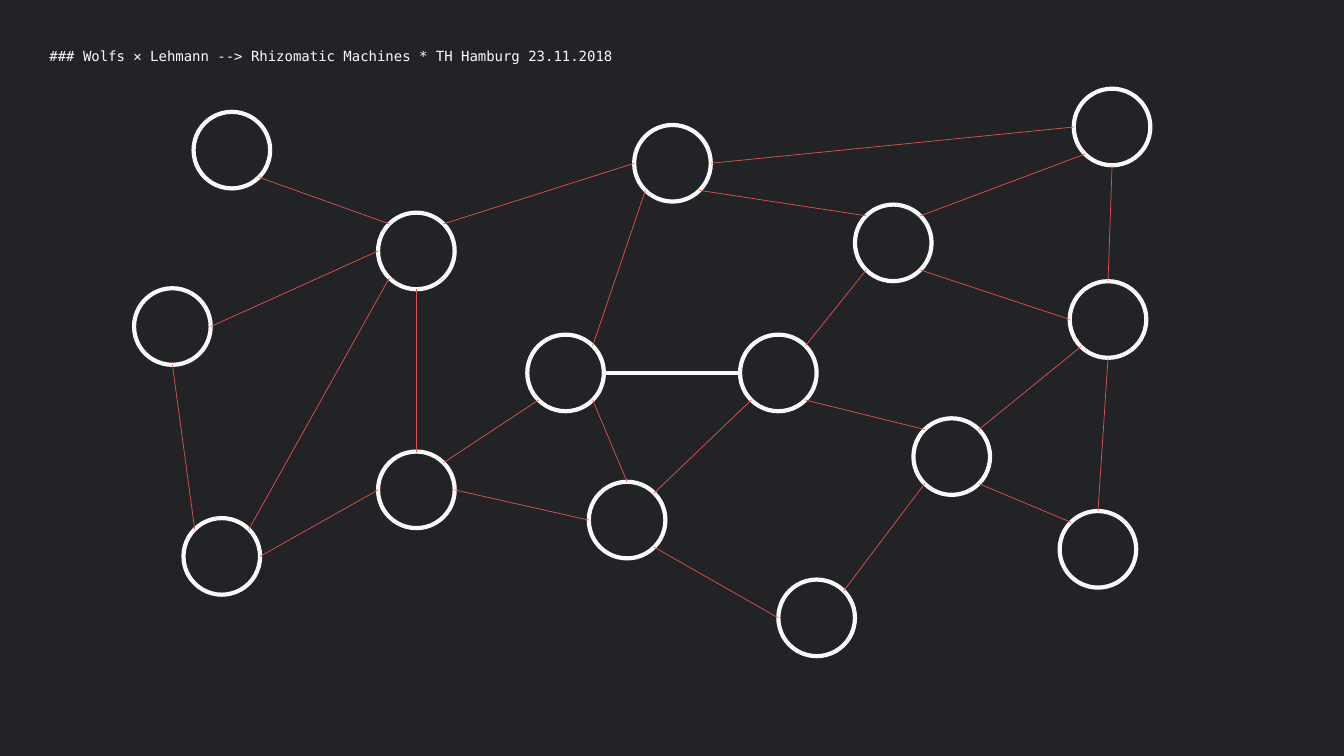
from math import sqrt

from lxml.etree import SubElement
from pptx import Presentation
from pptx.dml.color import RGBColor
from pptx.enum.shapes import MSO_CONNECTOR, MSO_SHAPE
from pptx.enum.text import MSO_ANCHOR, PP_ALIGN
from pptx.oxml.ns import qn
from pptx.util import Inches, Pt

COLORS = {"background": "222326", "light": "FAFAFA", "link": "E65050"}
TITLE = "### Wolfs ✕ Lehmann --> Rhizomatic Machines * TH Hamburg 23.11.2018"
TITLE_FORMAT = {"name": "DejaVu Sans Mono", "size": Pt(10), "bold": False}

DIAMETER = 0.76
# Left and top of each circle, in inches from the corner of the network
NODES = {
    "center_left": (5.23, 3.32), "center_right": (7.34, 3.32),
    "upper_right": (8.48, 2.03), "bottom": (7.72, 5.75),
    "upper_left": (3.75, 2.11), "top": (6.29, 1.24),
    "lower_left": (3.75, 4.48), "lower_middle": (5.84, 4.78),
    "lower_right": (9.06, 4.15), "bottom_left": (1.82, 5.14),
    "far_left": (1.33, 2.86), "top_left": (1.92, 1.11),
    "top_right": (10.65, 0.88), "far_right": (10.61, 2.79),
    "bottom_right": (10.51, 5.07),
}
DIAGONAL = 1 / sqrt(2)
# Direction from the middle of a circle to each point on its rim
RIM = {
    "N": (0, -1), "NE": (DIAGONAL, -DIAGONAL), "E": (1, 0), "SE": (DIAGONAL, DIAGONAL),
    "S": (0, 1), "SW": (-DIAGONAL, DIAGONAL), "W": (-1, 0), "NW": (-DIAGONAL, -DIAGONAL),
}
MAIN_LINK = ("center_left", "E", "center_right", "W")
LINKS = [
    ("center_left", "NE", "top", "SW"),
    ("top", "SE", "upper_right", "NW"),
    ("center_right", "NE", "upper_right", "SW"),
    ("upper_right", "SE", "far_right", "W"),
    ("lower_right", "NE", "far_right", "SW"),
    ("center_right", "SE", "lower_right", "NW"),
    ("lower_middle", "NE", "center_right", "SW"),
    ("center_left", "SE", "lower_middle", "N"),
    ("lower_left", "NE", "center_left", "SW"),
    ("upper_left", "S", "lower_left", "N"),
    ("upper_left", "NE", "top", "W"),
    ("top_left", "SE", "upper_left", "NW"),
    ("far_left", "E", "upper_left", "W"),
    ("bottom_left", "NE", "upper_left", "SW"),
    ("far_left", "S", "bottom_left", "NW"),
    ("bottom_left", "E", "lower_left", "W"),
    ("lower_left", "E", "lower_middle", "W"),
    ("lower_middle", "SE", "bottom", "W"),
    ("bottom", "NE", "lower_right", "SW"),
    ("lower_right", "SE", "bottom_right", "NW"),
    ("far_right", "S", "bottom_right", "N"),
    ("top", "E", "top_right", "W"),
    ("upper_right", "NE", "top_right", "SW"),
    ("top_right", "S", "far_right", "N"),
]


def color(name):
    return RGBColor.from_string(COLORS[name])


def set_line(shape, color_name, width):
    shape.line.color.rgb = color(color_name)
    shape.line.width = Pt(width)


def add_title(page, left, top, width, height):
    box = page.shapes.title
    box.left, box.top, box.width, box.height = map(Inches, (left, top, width, height))
    frame = box.text_frame
    frame.word_wrap = True
    frame.vertical_anchor = MSO_ANCHOR.MIDDLE
    para = frame.paragraphs[0]
    para.alignment = PP_ALIGN.LEFT
    span = para.add_run()
    span.text = TITLE
    for attribute, value in TITLE_FORMAT.items():
        setattr(span.font, attribute, value)
    span.font.color.rgb = color("light")


def add_node(page, left, top):
    size = Inches(DIAMETER)
    circle = page.shapes.add_shape(MSO_SHAPE.OVAL, Inches(left), Inches(top), size, size)
    circle.shadow.inherit = False
    circle.fill.background()
    set_line(circle, "light", 3)


def rim_point(node, side, left, top):
    radius = DIAMETER / 2
    return [
        Inches(origin + corner + radius * (1 + direction))
        for origin, corner, direction in zip((left, top), NODES[node], RIM[side])
    ]


def add_link(page, link, left, top, color_name, width):
    start_node, start_side, end_node, end_side = link
    start = rim_point(start_node, start_side, left, top)
    end = rim_point(end_node, end_side, left, top)
    line = page.shapes.add_connector(MSO_CONNECTOR.STRAIGHT, *start, *end)
    set_line(line, color_name, width)
    SubElement(line._element.spPr, qn("a:effectLst"))


def add_network(page, left, top):
    for x, y in NODES.values():
        add_node(page, left + x, top + y)
    add_link(page, MAIN_LINK, left, top, "light", 3)
    for link in LINKS:
        add_link(page, link, left, top, "link", 0.5)


def main():
    deck = Presentation()
    deck.slide_width, deck.slide_height = Inches(13.33), Inches(7.5)
    page = deck.slides.add_slide(deck.slide_layouts.get_by_name("Title Only"))
    page.background.fill.solid()
    page.background.fill.fore_color.rgb = color("background")
    add_title(page, 0.39, 0.37, 6.28, 0.37)
    add_network(page, 0, 0)
    deck.save("out.pptx")


if __name__ == "__main__":
    main()
